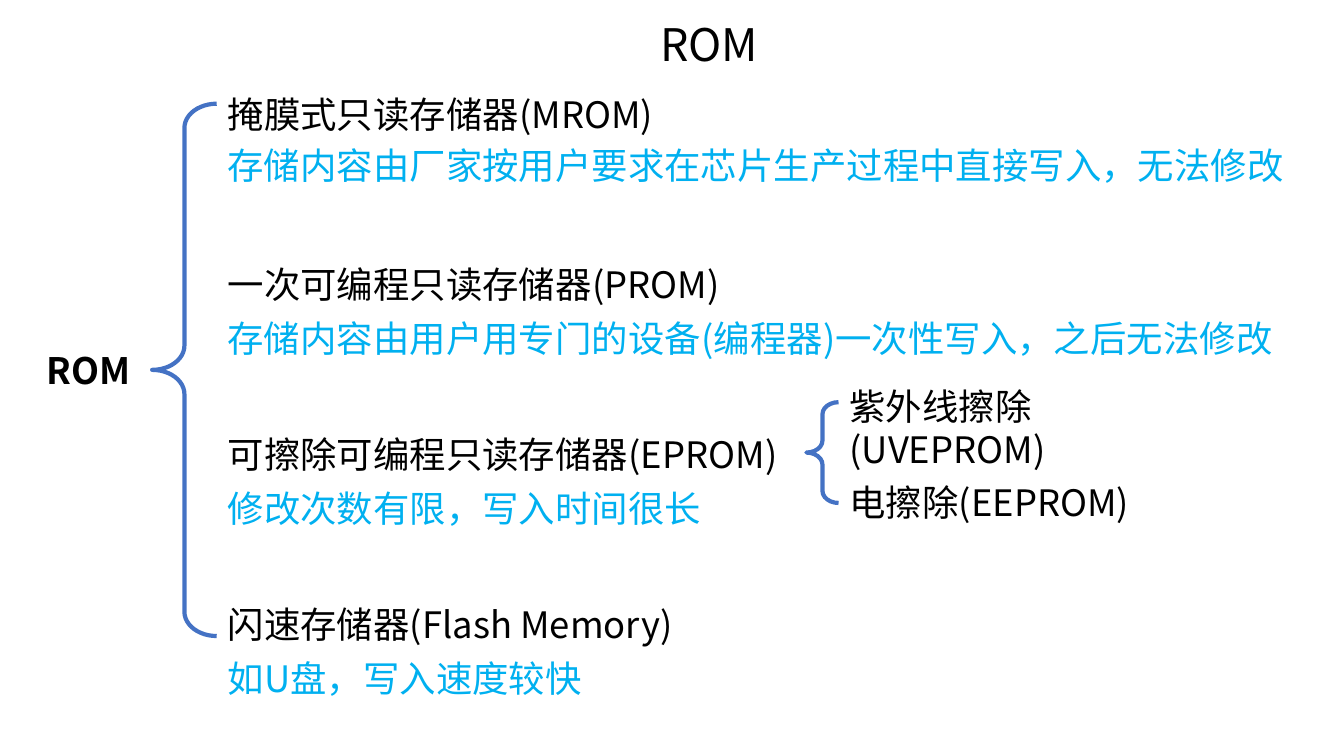
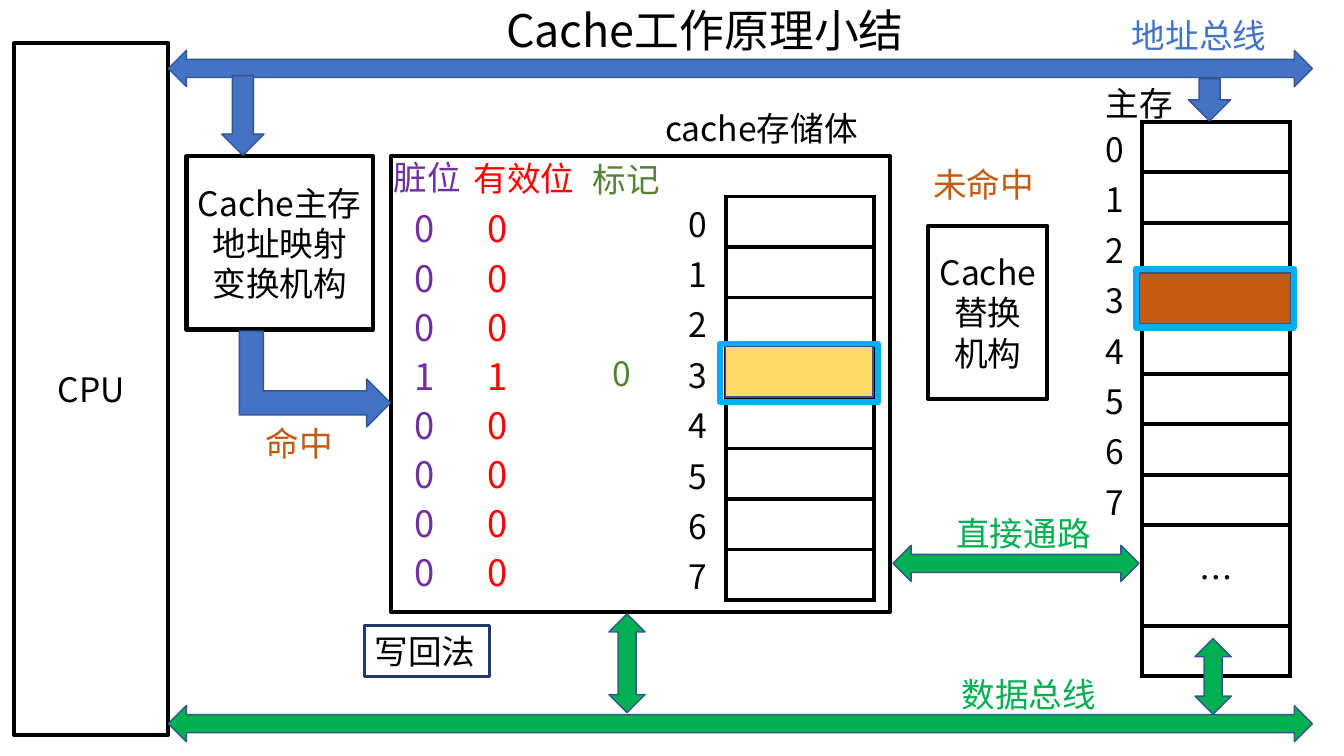
from dataclasses import dataclass

from lxml.etree import SubElement
from pptx import Presentation
from pptx.dml.color import RGBColor
from pptx.enum.shapes import MSO_SHAPE
from pptx.enum.text import MSO_ANCHOR, MSO_AUTO_SIZE, PP_ALIGN
from pptx.oxml.ns import qn
from pptx.util import Pt


@dataclass(frozen=True)
class Theme:
    font: str = "Noto Sans CJK SC"
    black: str = "000000"
    blue: str = "4472C4"
    outline: str = "325491"
    navy: str = "203864"
    sky: str = "00B0F0"
    green: str = "00B050"
    olive: str = "548235"
    orange: str = "C55A11"
    yellow: str = "FFD966"
    red: str = "FF0000"
    purple: str = "7030A0"
    title_size: int = 32
    large: int = 26
    normal: int = 24
    thick: int = 3


THEME = Theme()


@dataclass(frozen=True)
class Box:
    left: float
    top: float
    width: float
    height: float

    def inner(self, left, top, width, height):
        """Box placed relative to this box's top left corner."""
        return Box(self.left + left, self.top + top, width, height)

    def lengths(self):
        return Pt(self.left), Pt(self.top), Pt(self.width), Pt(self.height)


def rgb(colour):
    return RGBColor.from_string(colour)


def style_paragraph(para, size, colour, align=PP_ALIGN.LEFT, bold=False):
    para.alignment = align
    font = para.font
    font.name, font.size, font.bold = THEME.font, Pt(size), bold
    font.color.rgb = rgb(colour)
    SubElement(para._p.pPr.find(qn("a:defRPr")), qn("a:ea"), typeface=THEME.font)


def fill_frame(frame, lines, size, colour, align=PP_ALIGN.LEFT,
               anchor=MSO_ANCHOR.TOP, bold=False):
    frame.word_wrap = True
    frame.auto_size = MSO_AUTO_SIZE.NONE
    frame.vertical_anchor = anchor
    frame.text = "\n".join(lines)
    for para in frame.paragraphs:
        style_paragraph(para, size, colour, align, bold)


def add_title(page, box, text):
    title = page.shapes.title
    title.left, title.top, title.width, title.height = box.lengths()
    fill_frame(title.text_frame, [text], THEME.title_size, THEME.black, PP_ALIGN.CENTER)


def add_label(page, box, text, colour=THEME.black, size=THEME.normal, bold=False):
    label = page.shapes.add_textbox(*box.lengths())
    fill_frame(label.text_frame, [text], size, colour, bold=bold)


def add_figure(page, kind, box, fill=None, line=THEME.black, weight=THEME.thick, turn=0):
    figure = page.shapes.add_shape(kind, *box.lengths())
    figure.shadow.inherit = False
    figure.rotation = turn
    if fill:
        figure.fill.solid()
        figure.fill.fore_color.rgb = rgb(fill)
    else:
        figure.fill.background()
    figure.line.color.rgb = rgb(line)
    figure.line.width = Pt(weight)
    return figure


def add_block(page, box, *lines):
    block = add_figure(page, MSO_SHAPE.RECTANGLE, box)
    fill_frame(block.text_frame, lines, THEME.normal, THEME.black,
               PP_ALIGN.CENTER, MSO_ANCHOR.MIDDLE)


def add_brace(page, box):
    brace = add_figure(page, MSO_SHAPE.LEFT_BRACE, box, line=THEME.blue)
    brace.adjustments[0] = 0.375
    brace.adjustments[1] = 0.5


def add_arrow(page, kind, box, colour, turn=0):
    add_figure(page, kind, box, colour, THEME.outline, 1, turn)


# ROM slide

ROM_TYPES = [
    # name, name width, note, note width, note offset
    ("掩膜式只读存储器(MROM)", 330.5, "存储内容由厂家按用户要求在芯片生产过程中直接写入，无法修改", 770.4, 36),
    ("一次可编程只读存储器(PROM)", 375, "存储内容由用户用专门的设备(编程器)一次性写入，之后无法修改", 770.4, 38.2),
    ("可擦除可编程只读存储器(EPROM)", 432.7, "修改次数有限，写入时间很长", 375, 38.6),
    ("闪速存储器(Flash Memory)", 432.7, "如U盘，写入速度较快", 375, 38.2),
]
LINE_HEIGHT = 38.9


def add_rom_types(page, area):
    """Root label, brace, and one name with a note per kind of ROM."""
    add_brace(page, area.inner(82.8, 11.5, 46.1, 380.2))
    add_label(page, area.inner(0, 182.2, 80.6, LINE_HEIGHT), "ROM", size=THEME.large, bold=True)
    for row, (name, name_width, note, note_width, offset) in enumerate(ROM_TYPES):
        top = row * 121.4
        add_label(page, area.inner(129.6, top, name_width, LINE_HEIGHT), name, size=THEME.large)
        add_label(page, area.inner(129.6, top + offset, note_width, LINE_HEIGHT),
                  note, THEME.sky, THEME.large)


def add_erase_methods(page, area):
    add_brace(page, area.inner(0, 16.6, 23, 72))
    for row, method in enumerate(["紫外线擦除(UVEPROM)", "电擦除(EEPROM)"]):
        add_label(page, area.inner(23.8, row * 68.4, 283.7, LINE_HEIGHT), method, size=THEME.large)


def build_rom_page(page):
    add_title(page, Box(290.2, 8.6, 432.7, 46), "ROM")
    add_rom_types(page, Box(25.9, 62.6, 900, 441))
    add_erase_methods(page, Box(576, 270.7, 307.5, 107.3))


# Cache slide

LABEL_WIDTH, CELL_WIDTH, ROW_HEIGHT = 39.6, 105.8, 36
CACHE_BITS = "00010000"
PLAIN_TABLE_STYLE = "{2D5ABB26-0587-4C30-8999-92F81FD0307C}"


def format_cell(cell, sides):
    """Clear the fill, draw borders, and trim margins so a row keeps its height."""
    cell.margin_top, cell.margin_bottom = Pt(1), Pt(0)
    cell.fill.background()
    properties = cell._tc.get_or_add_tcPr()
    for index, side in enumerate(sides):
        line = SubElement(properties, qn(f"a:ln{side}"), w=str(Pt(THEME.thick)))
        solid = SubElement(line, qn("a:solidFill"))
        SubElement(solid, qn("a:srgbClr"), val=THEME.black)
        properties.remove(line)
        properties.insert(index, line)


def write_cell(cell, text):
    cell.vertical_anchor = MSO_ANCHOR.MIDDLE
    cell.text = text
    style_paragraph(cell.text_frame.paragraphs[0], THEME.normal, THEME.black, PP_ALIGN.CENTER)


def add_memory(page, left, top, rows, numbered=8):
    """Numbered memory rows; any further rows hold an ellipsis over two rows."""
    area = Box(left, top, LABEL_WIDTH + CELL_WIDTH, rows * ROW_HEIGHT)
    table = page.shapes.add_table(rows, 2, *area.lengths()).table
    table._tbl.tblPr.find(qn("a:tableStyleId")).text = PLAIN_TABLE_STYLE
    table.first_row = table.horz_banding = False
    table.columns[0].width, table.columns[1].width = Pt(LABEL_WIDTH), Pt(CELL_WIDTH)
    for number, row in enumerate(table.rows):
        row.height = Pt(ROW_HEIGHT)
        label, content = row.cells
        format_cell(label, "R")
        format_cell(content, "LRTB")
        if number < numbered:
            write_cell(label, str(number))
    if rows > numbered:
        table.cell(numbered, 1).merge(table.cell(numbered + 1, 1))
        write_cell(table.cell(numbered, 1), "…")


def add_status_bits(page, area):
    """Columns of dirty bit, valid bit and tag."""
    columns = [("脏位", -5.1, -2.9, 64, 9.3, THEME.purple),
               ("有效位", 51.8, -2.2, 90, 61.9, THEME.red)]
    for heading, left, top, width, bit_left, colour in columns:
        add_label(page, area.inner(left, top, width, 36), heading, colour)
        for row, bit in enumerate(CACHE_BITS):
            add_label(page, area.inner(bit_left, 32.4 + row * 35.1, 25.2, LINE_HEIGHT),
                      bit, colour, THEME.large)
    add_label(page, area.inner(136.8, -1.4, 63.4, 36), "标记", THEME.olive)
    add_label(page, area.inner(151.2, 136.8, 25.2, 36), "0", THEME.olive)


def add_cache(page, area):
    add_memory(page, area.left + 199.4, area.top + 28.8, 8)
    add_block(page, area)
    add_status_bits(page, area)
    add_label(page, area.inner(188.6, -38.2, 157.7, 36), "cache存储体")


def add_arrows(page):
    both, down = MSO_SHAPE.LEFT_RIGHT_ARROW, MSO_SHAPE.DOWN_ARROW
    for kind, box, colour, turn in [
        (both, Box(120.2, 36, 817.2, 25.9), THEME.blue, 0),
        (down, Box(848.9, 56.2, 30.2, 30.2), THEME.blue, 0),
        (down, Box(158.4, 54, 30.2, 56.9), THEME.blue, 0),
        (MSO_SHAPE.BENT_UP_ARROW, Box(190.8, 216.7, 68.4, 108), THEME.blue, 90),
        (both, Box(637.9, 389.5, 175.7, 25.9), THEME.green, 0),
        (both, Box(120.2, 504, 817.2, 25.9), THEME.green, 0),
        (both, Box(839.5, 470.2, 54, 25.9), THEME.green, 90),
        (both, Box(412.6, 460.8, 70.6, 25.9), THEME.green, 90),
    ]:
        add_arrow(page, kind, box, colour, turn)


def add_captions(page):
    for text, left, top, width, colour in [
        ("地址总线", 801.4, 7.2, 113, THEME.blue),
        ("直接通路", 676.1, 362.9, 113, THEME.green),
        ("数据总线", 679.7, 478.1, 113, THEME.green),
        ("未命中", 659.5, 113.8, 92.2, THEME.orange),
        ("命中", 182.9, 298.8, 92.2, THEME.orange),
        ("主存", 782.6, 55.4, 67, THEME.black),
    ]:
        add_label(page, Box(left, top, width, 36), text, colour)


def add_matching_rows(page):
    """Mark the main memory row and the cache row that holds it."""
    main_row, cache_row = Box(813.6, 195.1, 108.7, 36), Box(518.4, 247.7, 105.1, 36)
    frames = main_row.inner(-2.2, -2.9, 113, 41.8), cache_row.inner(-4.3, -2.2, 113, 41.8)
    add_figure(page, MSO_SHAPE.RECTANGLE, main_row, THEME.orange, THEME.outline, 1)
    for frame in frames:
        add_figure(page, MSO_SHAPE.RECTANGLE, frame, line=THEME.sky, weight=4.5)
    add_figure(page, MSO_SHAPE.RECTANGLE, cache_row, THEME.yellow, THEME.outline, 1)


def add_write_policy(page, box):
    policy = add_figure(page, MSO_SHAPE.RECTANGLE, box, line=THEME.navy, weight=2.25)
    fill_frame(policy.text_frame, ["写回法"], THEME.normal, THEME.black)


def build_cache_page(page):
    add_title(page, Box(287.3, -1.4, 432.7, 46), "Cache工作原理小结")
    add_memory(page, 776.2, 87.1, 11)
    add_block(page, Box(663.1, 161.3, 85, 123.8), "Cache", "替换机构")
    add_block(page, Box(133.2, 111.6, 133.2, 123.8), "Cache主存", "地址映射变换机构")
    add_block(page, Box(10.1, 31, 110.2, 493.9), "CPU")
    add_cache(page, Box(279.4, 111.6, 356.4, 325.4))
    add_arrows(page)
    add_captions(page)
    add_matching_rows(page)
    add_write_policy(page, Box(260.6, 447.1, 89.3, 36))


def main():
    deck = Presentation()
    deck.slide_width, deck.slide_height = Pt(960), Pt(540)
    title_only = deck.slide_layouts[5]
    for build in (build_rom_page, build_cache_page):
        build(deck.slides.add_slide(title_only))
    deck.save("out.pptx")


if __name__ == "__main__":
    main()
